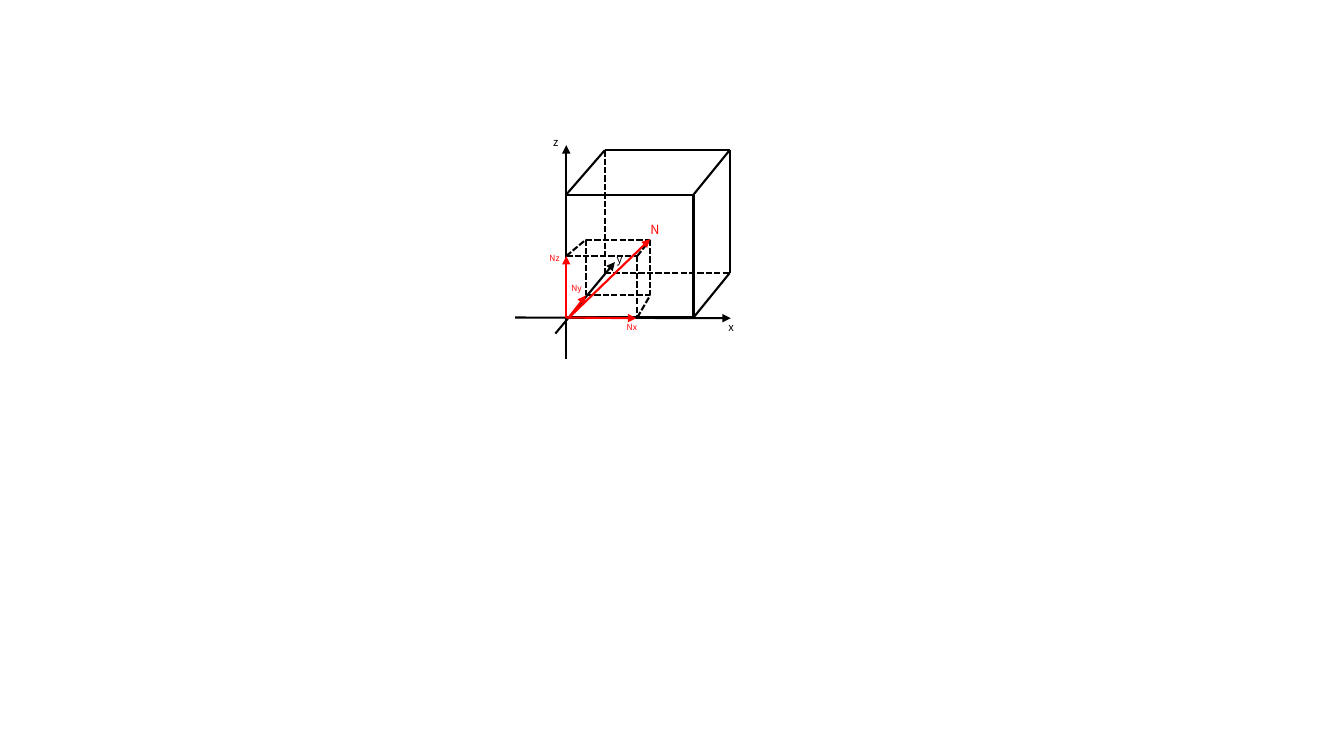
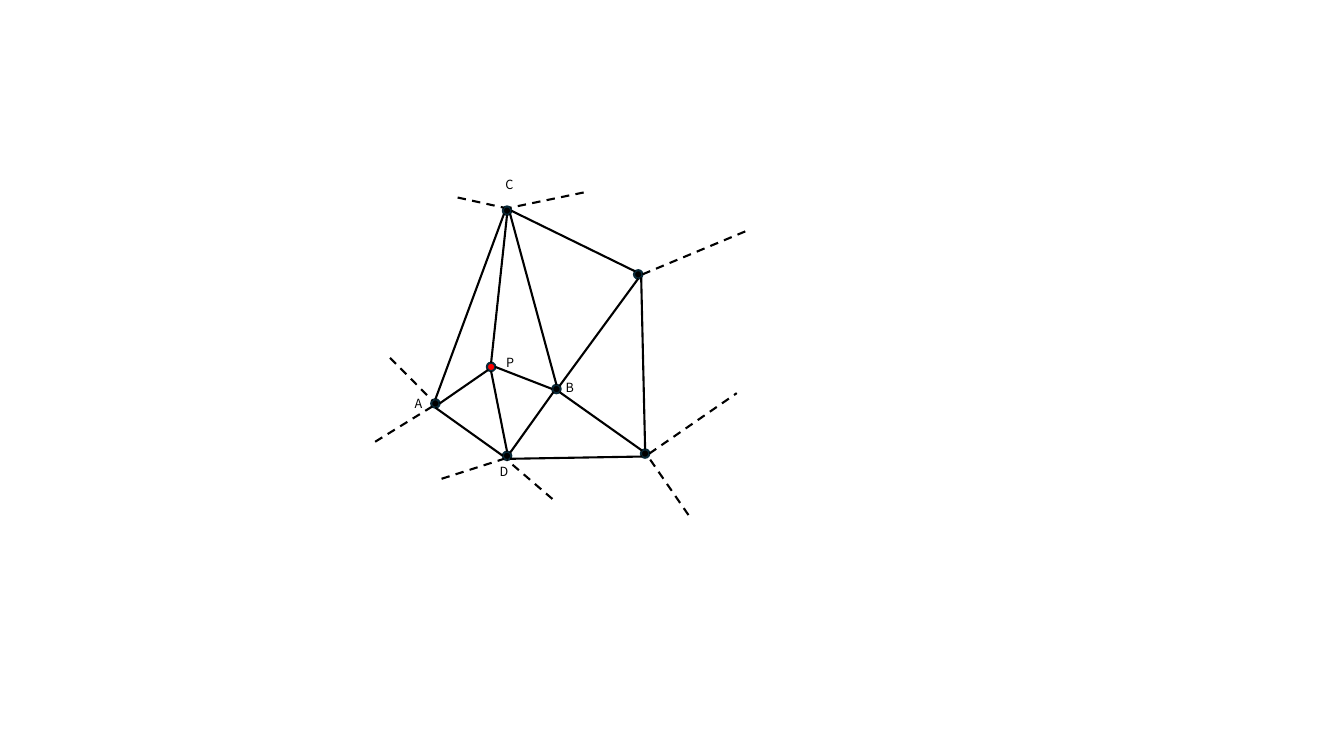
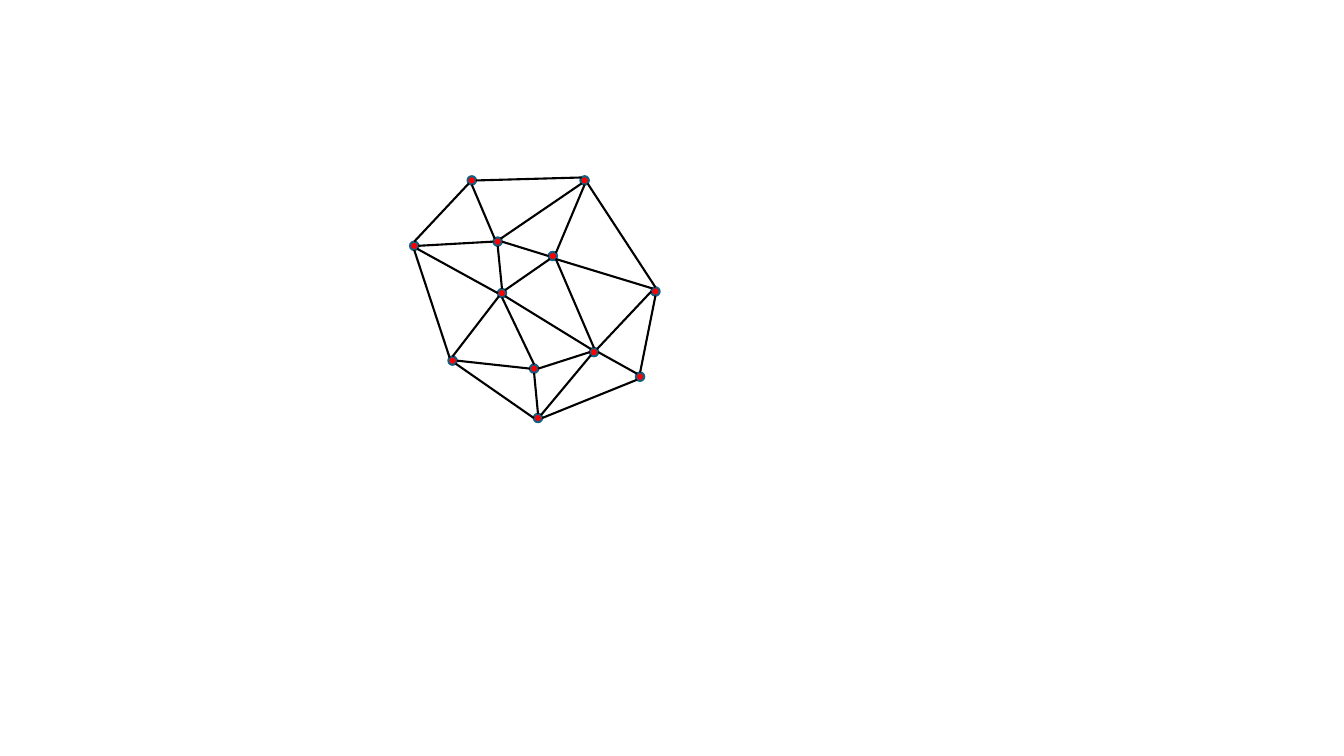
from math import cos, pi, sin

from pptx import Presentation
from pptx.dml.color import RGBColor
from pptx.enum.dml import MSO_LINE
from pptx.enum.shapes import MSO_CONNECTOR, MSO_SHAPE
from pptx.enum.text import MSO_AUTO_SIZE
from pptx.oxml.ns import qn
from pptx.util import Pt
from lxml.etree import SubElement

FONT = "Noto Sans CJK SC"
BLACK = "000000"
RED = "FF0000"
WIDTH = Pt(1.5)
RADIUS = 3
color = RGBColor.from_string


def line(page, start, end, hue=BLACK, dash=None, head=False):
    edge = page.shapes.add_connector(MSO_CONNECTOR.STRAIGHT, *map(Pt, (*start, *end)))
    edge.line.color.rgb = color(hue)
    edge.line.width = WIDTH
    if dash:
        edge.line.dash_style = dash
    if head:
        SubElement(edge.line._get_or_add_ln(), qn("a:tailEnd"), type="triangle")
    SubElement(edge._element.spPr, qn("a:effectLst"))


def label(page, text, x, y, size, hue=BLACK, width=20):
    box = page.shapes.add_textbox(Pt(x), Pt(y), Pt(width), Pt(size * 1.2 + 7.2))
    frame = box.text_frame
    frame.word_wrap = False
    frame.auto_size = MSO_AUTO_SIZE.SHAPE_TO_FIT_TEXT
    par = frame.paragraphs[0]
    par.text = text
    par.font.name = FONT
    par.font.size = Pt(size)
    par.font.color.rgb = color(hue)


deck = Presentation()
deck.slide_width = Pt(960)
deck.slide_height = Pt(540)
axes, fan, mesh = [deck.slides.add_slide(deck.slide_layouts[6]) for _ in range(3)]

DOTS = MSO_LINE.SQUARE_DOT
boxes = [
    ((404.5, 139, 495.4, 226.8), (432, 107.3, 521.2, 195.1), "ab bc cd aE bF cG EF FG", None),
    ((404.5, 182.9, 455.2, 226.8), (418.5, 171.2, 464.4, 211), "ab bc aE bF cG EF FG", DOTS),
]
for front, back, seen, dash in boxes:
    spots = {}
    for names, (left, top, right, base) in (("abcd", front), ("EFGH", back)):
        spots.update(zip(names, [(left, top), (right, top), (right, base), (left, base)]))
    for a, b in seen.split():
        line(axes, spots[a], spots[b], dash=dash)
    for a, b in "HG EH".split():
        line(axes, spots[a], spots[b], dash=DOTS)

for text, x, y, size, hue, width in [
    ("x", 513.2, 225.4, 8, BLACK, 18),
    ("z", 388, 93, 8, BLACK, 18),
    ("y", 433.4, 176.4, 8, BLACK, 23),
    ("N", 457.4, 154.8, 9, RED, 21),
    ("Nx", 440.6, 226.8, 6, RED, 23),
    ("Nz", 385.4, 177, 6, RED, 23),
    ("Ny", 401, 198.7, 6, RED, 23),
]:
    label(axes, text, x, y, size, hue, width)

for start, end, hue in [
    ((368, 226.8), (522, 227.3), BLACK),
    ((404.5, 256.5), (404.5, 103.7), BLACK),
    ((396.7, 238.3), (439.2, 187.2), BLACK),
    ((404.5, 226.8), (404.5, 182.9), RED),
    ((404.5, 226.8), (454.5, 227.3), RED),
    ((406, 227.3), (418.5, 211), RED),
    ((406.5, 226.8), (464.4, 170.8), RED),
]:
    line(axes, start, end, hue, head=True)

ring = {
    "C": (362.2, 150.5), "P": (350.8, 262.1), "B": (397.5, 277.9),
    "A": (311, 288.2), "D": (362.2, 325.6), "E": (460.8, 324), "F": (455.9, 196),
}
cloud = {
    "a": (417.6, 128.9), "b": (384.3, 298.6), "c": (457.2, 269.1),
    "d": (323.3, 257.6), "e": (337, 128.9), "f": (295.9, 175.6),
    "g": (468.2, 208.2), "h": (381.5, 263.3), "i": (424.3, 251.5),
    "j": (358.6, 209.4), "k": (394.9, 182.9), "l": (355.5, 172.6),
}
links = "C3A0 B0C5 A4D2 D7B3 E1B5 D5E3 B7F4 F1C6 E0F5 B2P6 D0P4 P3A6 P0C4"
web = (
    "f4d1 e3f0 b2d5 c3b6 g4c0 a1e6 a5g0 i6c1 h6i2 h4b0 d6h2 b7i3 j3d0 "
    "j5i1 l4j0 e4l1 a4k7 k5i0 l7a3 k5g1 i7g2 f6l2 f5j2 k3j7 l6k2 j4h0"
)

sites = {}
for page, spots, pairs, rim, reds in [
    (fan, ring, links, "092A39", "P"),
    (mesh, cloud, web, "156082", cloud),
]:
    for name, (x, y) in spots.items():
        dot = page.shapes.add_shape(
            MSO_SHAPE.OVAL, Pt(x - RADIUS), Pt(y - RADIUS), Pt(2 * RADIUS), Pt(2 * RADIUS))
        dot.shadow.inherit = False
        dot.fill.solid()
        dot.fill.fore_color.rgb = color(RED if name in reds else BLACK)
        dot.line.color.rgb = color(rim)
        dot.line.width = WIDTH
        for n in range(8):
            turn = n * pi / 4
            sites[f"{name}{n}"] = (x - RADIUS * sin(turn), y - RADIUS * cos(turn))
    for pair in pairs.split():
        line(page, sites[pair[:2]], sites[pair[2:]])

for site, x, y in [
    ("C1", 326.9, 141.1), ("C7", 416.9, 137.5), ("A1", 278.6, 255.6),
    ("D3", 315.4, 342), ("D4", 394.6, 356.4), ("E5", 491.8, 367.9),
]:
    line(fan, (x, y), sites[site], dash=MSO_LINE.DASH)
for site, x, y in [("A3", 267.1, 316.1), ("E6", 526.3, 280.8), ("F6", 535, 164.2)]:
    line(fan, sites[site], (x, y), dash=MSO_LINE.DASH)

for text, x, y in [
    ("D", 349.9, 327.6), ("P", 354.4, 249.8), ("A", 289.2, 279.4),
    ("C", 354, 123.1), ("B", 396.9, 267.8),
]:
    label(fan, text, x, y, 9)

deck.save("out.pptx")
